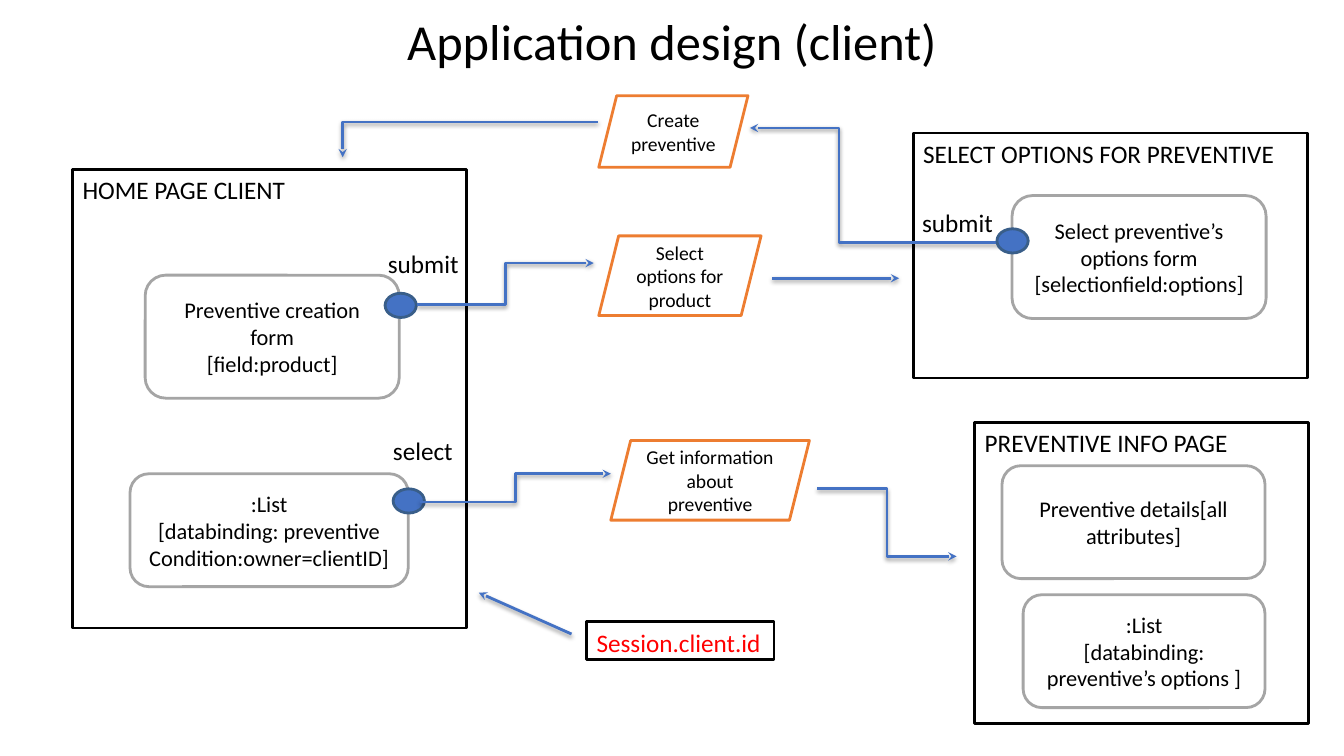
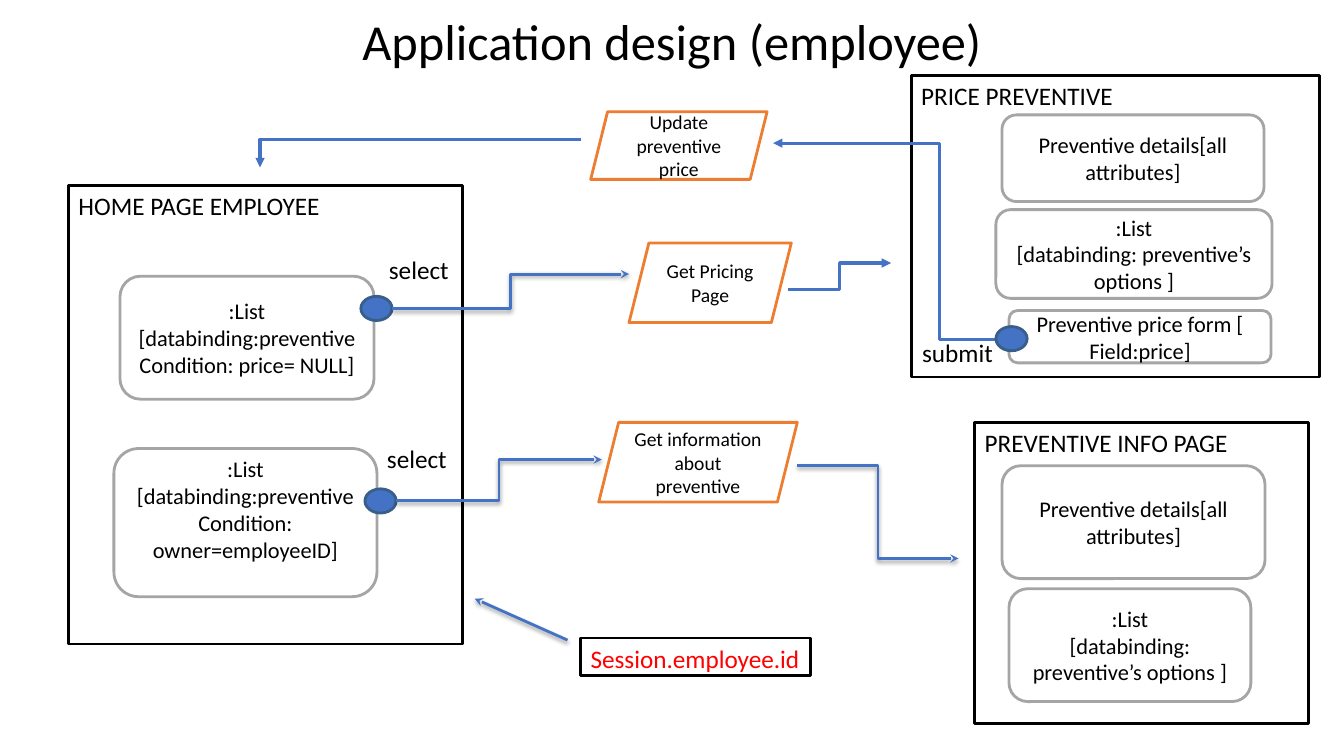
from lxml.etree import SubElement
from pptx import Presentation
from pptx.dml.color import RGBColor
from pptx.enum.shapes import MSO_CONNECTOR as Link, MSO_SHAPE as Shape
from pptx.enum.text import MSO_ANCHOR as Anchor, PP_ALIGN as Align
from pptx.oxml.ns import qn
from pptx.util import Inches, Pt

COLUMNS, ROWS = 133.33, 75
CELL = Inches(0.1)


def cells(*counts):
    """Turn numbers of grid cells into lengths."""
    return [round(count * CELL) for count in counts]


def color(hex_text):
    return RGBColor.from_string(hex_text)


def add_xml(parent, tag, **attributes):
    return SubElement(parent, qn(tag), attributes)


class Board:
    """Style and current slide; every position is (left, top, width, height) in cells."""

    FONT = "Calibri"
    BLACK, WHITE, RED = "000000", "FFFFFF", "FF0000"
    BLUE, DARK_BLUE, GRAY, ORANGE = "4472C4", "395E89", "A5A5A5", "ED7D31"
    LINE = 2

    def __init__(self):
        self.presentation = Presentation()
        self.presentation.slide_width, self.presentation.slide_height = cells(COLUMNS, ROWS)
        self.slide = None

    def new_slide(self, title):
        self.slide = self.presentation.slides.add_slide(self.presentation.slide_layouts[6])
        box = self.slide.shapes.add_textbox(*cells(9.17, 0, 115, 8.8))
        self.set_text(box, [title], 36, Align.CENTER, Anchor.MIDDLE)
        box.text_frame.paragraphs[0].line_spacing = 0.9

    def set_text(self, shape, lines, size, align=Align.LEFT, anchor=Anchor.TOP, ink=BLACK):
        frame = shape.text_frame
        frame.word_wrap = True
        frame.vertical_anchor = anchor
        frame.text = "\n".join(lines)
        for paragraph in frame.paragraphs:
            paragraph.alignment = align
            paragraph.font.name = self.FONT
            paragraph.font.size = Pt(size)
            paragraph.font.color.rgb = color(ink)

    def outline(self, kind, position, line, fill=WHITE):
        shape = self.slide.shapes.add_shape(kind, *cells(*position))
        shape.shadow.inherit = False
        shape.fill.solid()
        shape.fill.fore_color.rgb = color(fill)
        shape.line.color.rgb = color(line)
        shape.line.width = Pt(self.LINE)
        return shape

    def page(self, position, name):
        self.set_text(self.outline(Shape.RECTANGLE, position, self.BLACK), [name], 18)

    def session(self, position, name):
        box = self.outline(Shape.RECTANGLE, position, self.BLACK)
        self.set_text(box, [name], 18, ink=self.RED)
        box.text_frame.margin_right = 0

    def component(self, position, *lines, bottom=0.5):
        box = self.outline(Shape.ROUNDED_RECTANGLE, position, self.GRAY)
        self.set_text(box, lines, 16, Align.CENTER, Anchor.MIDDLE)
        box.text_frame.margin_bottom = cells(bottom)[0]

    def action(self, position, text):
        box = self.outline(Shape.PARALLELOGRAM, position, self.ORANGE)
        self.set_text(box, [text], 14, Align.CENTER, Anchor.MIDDLE)

    def event(self, left, top):
        self.outline(Shape.OVAL, (left, top, 3.1, 2.4), self.DARK_BLUE, self.BLUE)

    def label(self, left, top, text):
        self.set_text(self.slide.shapes.add_textbox(*cells(left, top, 9.7, 4.1)), [text], 18)

    def arrow(self, start, end, turn=0.5, straight=False, flat=False):
        """Draw an arrow; turn is the share of its width where an elbow bends."""
        kind = Link.STRAIGHT if straight else Link.ELBOW
        connector = self.slide.shapes.add_connector(kind, *cells(*start, *end))
        connector.line.color.rgb = color(self.BLUE)
        connector.line.width = Pt(2.25 if flat else self.LINE)
        properties = connector._element.spPr
        add_xml(properties.find(qn("a:ln")), "a:tailEnd", type="triangle" if flat else "stealth")
        if not straight:
            guides = properties.find(qn("a:prstGeom")).get_or_add_avLst()
            add_xml(guides, "a:gd", name="adj1", fmla=f"val {round(turn * 100000)}")
        effects = add_xml(properties, "a:effectLst")
        if not flat:
            shadow = add_xml(effects, "a:outerShdw", blurRad="40000", dist="20000",
                             dir="5400000", rotWithShape="0")
            shade = add_xml(shadow, "a:srgbClr", val=self.BLACK)
            add_xml(shade, "a:alpha", val="38000")

    def details(self, position):
        self.component(position, "Preventive details[all attributes]")

    def options_list(self, position):
        self.component(position, ":List", "[databinding: preventive’s options ]")

    def info_page(self, list_left, list_top):
        self.page((96.7, 41.9, 33.1, 29.9), "PREVENTIVE INFO PAGE")
        self.details((99.4, 46.2, 26.1, 11.2))
        self.options_list((list_left, list_top, 24, 11.2))

    def info_action(self, left, top):
        self.action((left, top, 19.7, 7.9), "Get information about preventive")


def draw_client(board):
    board.new_slide("Application design (client)")

    board.page((7.2, 16.8, 39.1, 45.5), "HOME PAGE CLIENT")
    board.component((14.4, 27.3, 25.2, 12.2), "Preventive creation form", "[field:product]")
    board.event(38.2, 29.1)
    board.label(37.5, 24.1, "submit")
    board.component((12.9, 47, 27.6, 11.2), ":List", "[databinding: preventive",
                    "Condition:owner=clientID]")
    board.event(39, 48.5)
    board.label(38, 42.7, "select")

    board.page((90.6, 13.2, 39.1, 24.3), "SELECT OPTIONS FOR PREVENTIVE")
    board.component((100.4, 19.4, 25.2, 12.2), "Select preventive’s options form",
                    "[selectionfield:options]")
    board.arrow((100.4, 24.1), (74.4, 12.7), turn=0.66)
    board.event(98.9, 22.7)
    board.label(90.5, 20.1, "submit")

    board.action((59.4, 9.5, 14.8, 7.1), "Create preventive")
    board.arrow((59.3, 12.1), (34, 15.6), turn=1)
    board.arrow((41.4, 30.2), (58.9, 26.1))
    board.action((59.4, 23.4, 16.1, 7.9), "Select options for product")
    board.arrow((76.6, 27.6), (89.2, 27.6), straight=True)
    board.arrow((41.7, 49.8), (60.6, 47))
    board.info_action(60.6, 43.7)
    board.arrow((81.1, 48.5), (94.9, 55.2))
    board.info_page(101.5, 59)

    board.session((58.2, 61.7, 18.6, 3.7), "Session.client.id")
    board.arrow((56.7, 62.9), (47.5, 58.8), straight=True)


def draw_employee(board):
    board.new_slide("Application design (employee)")

    board.page((6.8, 18.4, 39.1, 45.5), "HOME PAGE EMPLOYEE")
    board.component((11.9, 27.4, 25.2, 12.2), ":List", "[databinding:preventive",
                    "Condition: price= NULL]")
    board.event(35.8, 29.4)
    board.label(37.6, 24.7, "select")
    board.component((11.3, 44.5, 26.1, 14.7), ":List", "[databinding:preventive",
                    "Condition: owner=employeeID]", bottom=3.2)
    board.event(36.2, 48.5)
    board.label(37.4, 43.5, "select")

    board.page((90.4, 7.5, 40.5, 29.9), "PRICE PREVENTIVE")
    board.details((99.4, 11.4, 26, 8.6))
    board.options_list((98.8, 20.8, 27.4, 8.8))
    board.component((100.1, 30.8, 26, 5.2), "Preventive price form [", "Field:price]")
    board.arrow((99, 33.7), (76.7, 14.2), turn=0.26, flat=True)
    board.event(98.8, 32.4)
    board.label(90.5, 33, "submit")

    board.action((58.6, 11.1, 17.5, 6.7), "Update preventive price")
    board.arrow((57.6, 13.8), (25.8, 16.6), turn=1, flat=True)
    board.arrow((38.9, 30.6), (62.4, 27.2))
    board.action((62.4, 24.1, 16.1, 7.9), "Get Pricing Page")
    board.arrow((78.2, 28.7), (88.4, 26.1), flat=True)
    board.arrow((39.3, 49.7), (59.7, 45.6))
    board.info_action(59.4, 41.9)
    board.arrow((79.1, 46.2), (95.1, 55.4))
    board.info_page(100.1, 58.4)

    board.session((57.6, 63.3, 22.8, 3.7), "Session.employee.id")
    board.arrow((56.3, 63.5), (47.1, 59.4), straight=True)


def main():
    board = Board()
    draw_client(board)
    draw_employee(board)
    board.presentation.save("out.pptx")


if __name__ == "__main__":
    main()
